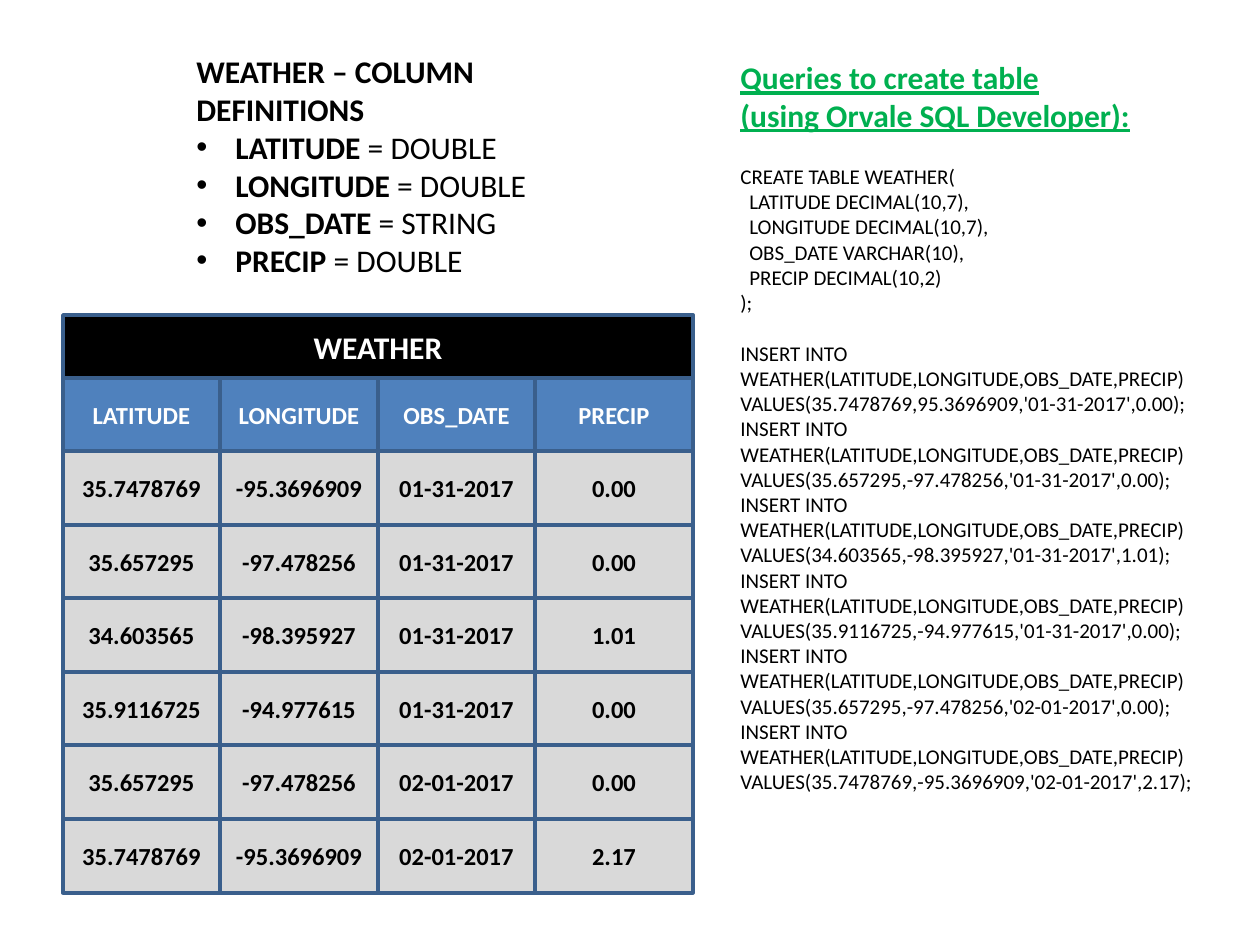
from dataclasses import dataclass
from itertools import pairwise

from lxml import etree
from pptx import Presentation, util as u
from pptx.dml.color import RGBColor
from pptx.enum import shapes, text as t
from pptx.oxml import ns

PX = 914400 / 126
FONT = "Calibri"
BLACK, WHITE, GREEN = "000000", "FFFFFF", "00B050"
BLUE, GREY, EDGE = "4F81BD", "D9D9D9", "3A5F8C"


@dataclass
class Style:
    size: int
    color: str = BLACK
    bold: bool = False
    under: bool = False


@dataclass
class Line:
    words: str
    style: Style
    gap: float = 0
    indent: int = 0
    tail: str = ""
    bullet: bool = False


@dataclass
class Box:
    x: int
    y: int
    w: int
    h: int

    def emu(self) -> list[int]:
        return [px(n) for n in (self.x, self.y, self.w, self.h)]


def px(n: int) -> int:
    return round(n * PX)


def rgb(code: str) -> RGBColor:
    return RGBColor.from_string(code)


def spans(start: int, total: int, count: int) -> list[tuple[int, int]]:
    """Share a length out as (start, size) pairs in whole pixels."""
    cuts = [start + total * i // count for i in range(count + 1)]
    return [(a, b - a) for a, b in pairwise(cuts)]


def format_run(run, style: Style) -> None:
    font = run.font
    font.name, font.size = FONT, u.Pt(style.size)
    font.bold, font.underline = style.bold, style.under
    font.color.rgb = rgb(style.color)


def add_text(slide, box: Box, lines: list[Line]) -> None:
    frame = slide.shapes.add_textbox(*box.emu()).text_frame
    frame.word_wrap = True
    frame.auto_size = t.MSO_AUTO_SIZE.SHAPE_TO_FIT_TEXT
    for i, line in enumerate(lines):
        para = frame.paragraphs[0] if i == 0 else frame.add_paragraph()
        para.text = line.words
        para.space_before = u.Pt(line.gap)
        format_run(para.runs[0], line.style)
        if line.tail:
            run = para.add_run()
            run.text = line.tail
            format_run(run, Style(line.style.size))
        props = para._p.get_or_add_pPr()
        if line.indent:
            props.set("marL", str(px(line.indent)))
        if line.bullet:
            props.set("indent", str(-px(line.indent)))
            etree.SubElement(props, ns.qn("a:buFont"), typeface="Arial")
            etree.SubElement(props, ns.qn("a:buChar"), char="•")


def add_cell(slide, box: Box, back: str, words: str = "",
             style: Style = Style(14, BLACK, True)) -> None:
    cell = slide.shapes.add_shape(shapes.MSO_SHAPE.RECTANGLE, *box.emu())
    cell.shadow.inherit = False
    cell.fill.solid()
    cell.fill.fore_color.rgb = rgb(back)
    cell.line.color.rgb = rgb(EDGE)
    cell.line.width = u.Pt(2)
    if words:
        frame = cell.text_frame
        frame.vertical_anchor = t.MSO_ANCHOR.MIDDLE
        para = frame.paragraphs[0]
        para.text = words
        para.alignment = t.PP_ALIGN.CENTER
        format_run(para.runs[0], style)


deck = Presentation()
deck.slide_width, deck.slide_height = px(1260), px(945)
slide = deck.slides.add_slide(deck.slide_layouts[6])

# Weather grid
names = ["LATITUDE", "LONGITUDE", "OBS_DATE", "PRECIP"]
data = [
    ["35.7478769", "-95.3696909", "01-31-2017", "0.00"],
    ["35.657295", "-97.478256", "01-31-2017", "0.00"],
    ["34.603565", "-98.395927", "01-31-2017", "1.01"],
    ["35.9116725", "-94.977615", "01-31-2017", "0.00"],
    ["35.657295", "-97.478256", "02-01-2017", "0.00"],
    ["35.7478769", "-95.3696909", "02-01-2017", "2.17"],
]
add_cell(slide, Box(63, 378, 630, 514), BLUE)
for row, (y, h) in zip([names, *data], spans(378, 515, 7)):
    top = row is names
    style = Style(14, WHITE if top else BLACK, True)
    for words, (x, w) in zip(row, spans(63, 630, 4)):
        add_cell(slide, Box(x, y, w, h), BLUE if top else GREY, words, style)
add_cell(slide, Box(63, 315, 630, 63), BLACK, "WEATHER",
         Style(18, WHITE, True))

# Column definitions
head = Style(18, bold=True)
kinds = ["DOUBLE", "DOUBLE", "STRING", "DOUBLE"]
add_text(slide, Box(184, 46, 388, 242), [
    Line("WEATHER – COLUMN DEFINITIONS", head),
    *(Line(name, head, indent=39, tail=f" = {kind}", bullet=True)
      for name, kind in zip(names, kinds)),
])

# Queries
title = Style(18, GREEN, True, True)
code = Style(12)
types = ["DECIMAL(10,7),", "DECIMAL(10,7),", "VARCHAR(10),", "DECIMAL(10,2)"]
inserts = []
for i, (lat, lon, date, rain) in enumerate(data):
    lon = lon.lstrip("-") if i == 0 else lon  # the first query has no sign
    inserts.append(Line(f"INSERT INTO WEATHER({','.join(names)}) "
                        f"VALUES({lat},{lon},'{date}',{rain});",
                        code, gap=0 if i else 14.6))
add_text(slide, Box(728, 52, 519, 751), [
    Line("Queries to create table", title),
    Line("(using Orvale SQL Developer):", title),
    Line("CREATE TABLE WEATHER(", code, gap=17),
    *(Line(f"{name} {kind}", code, indent=9)
      for name, kind in zip(names, types)),
    Line(");", code),
    *inserts,
])

deck.save("out.pptx")
